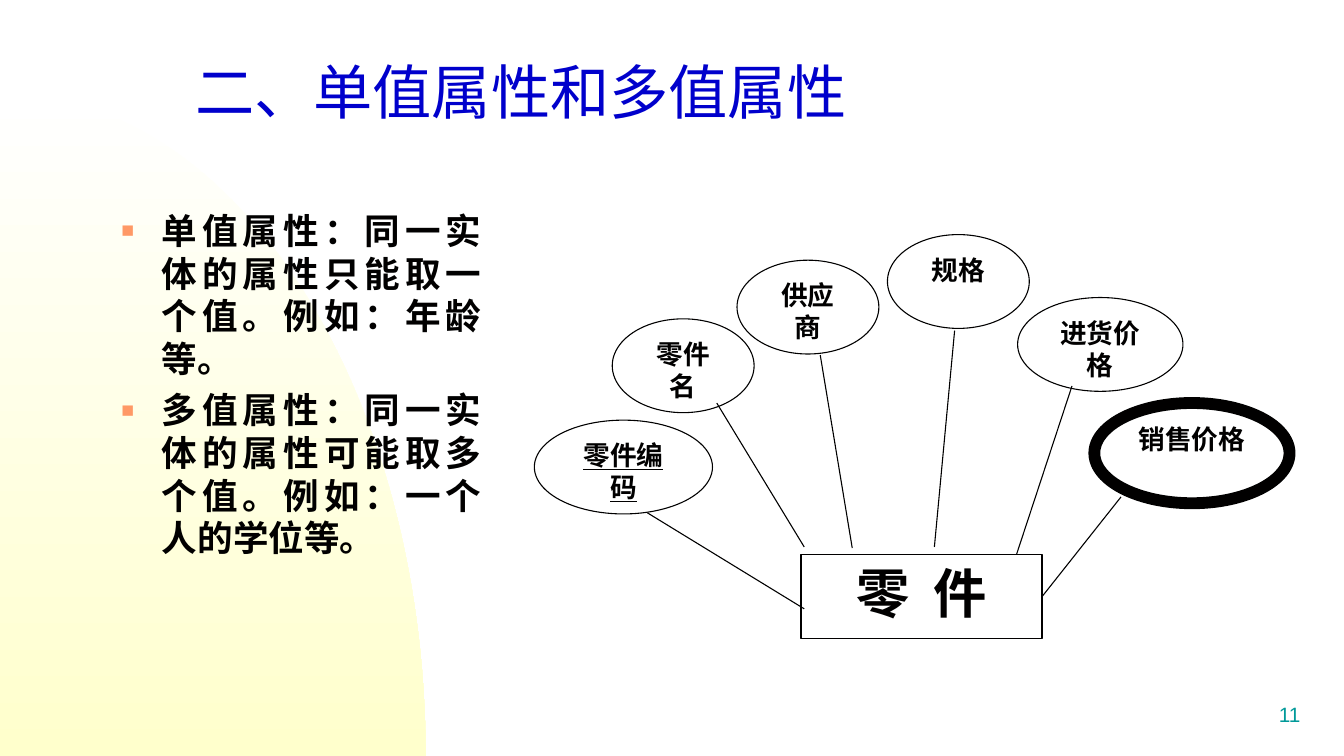
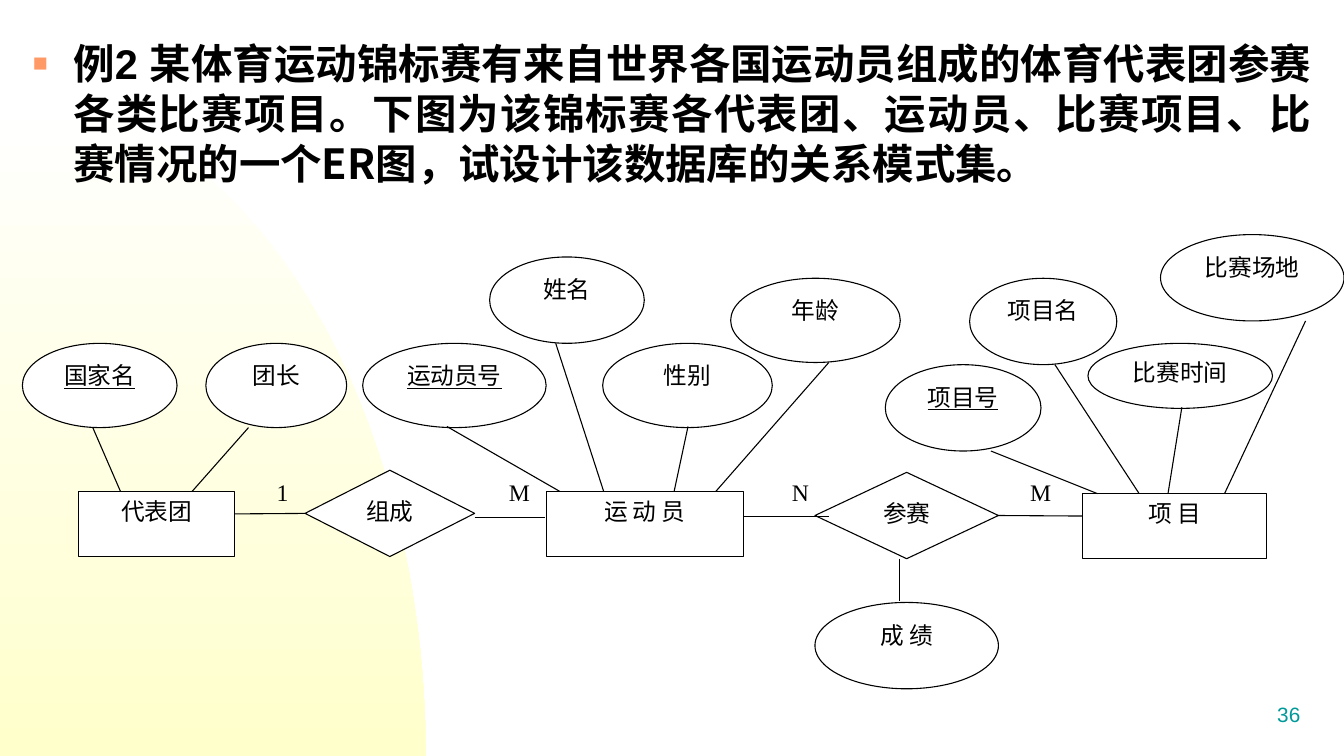
from math import cos, pi, sin

from lxml.etree import SubElement
from pptx import Presentation
from pptx.dml.color import RGBColor
from pptx.enum.shapes import MSO_CONNECTOR, MSO_SHAPE
from pptx.enum.text import MSO_ANCHOR, MSO_AUTO_SIZE, PP_ALIGN
from pptx.oxml.ns import qn
from pptx.util import Inches, Pt

WIDTH, HEIGHT = 12.6, 7.09
INK = RGBColor(0x01, 0x00, 0x00)
WHITE = RGBColor(0xFF, 0xFF, 0xFF)
CREAM = RGBColor(0xFF, 0xFF, 0xCC)
TITLE_BLUE = RGBColor(0x00, 0x00, 0xCC)
TEAL = RGBColor(0x00, 0x99, 0x99)
BULLET_ORANGE = "FF9966"

SERIF, SANS, CJK = "Times New Roman", "Arial", "Noto Sans CJK SC"
LINE_FACTOR = 1.2
TOP, LEFT, BOTTOM, RIGHT = range(4)
OVAL, BOX, DIAMOND = MSO_SHAPE.OVAL, MSO_SHAPE.RECTANGLE, MSO_SHAPE.FLOWCHART_DECISION

TITLE_FORMAT = {"size": Pt(40), "name": "Arial Narrow", "bold": False}
NUMBER_FORMAT = {"size": Pt(14), "name": SANS}
BULLET_FORMAT = {"size": Pt(24), "name": CJK, "bold": True}
EXAMPLE_FORMAT = {"size": Pt(28), "name": CJK, "bold": True}
PART_FORMAT = {"size": Pt(18), "name": SERIF, "bold": True}
ENTITY_FORMAT = {"size": Pt(36), "name": SERIF, "bold": True}
ER_FORMAT = {"size": Pt(16), "name": SERIF}
KEY = {"underline": True}

DEFINITIONS = [
    "单值属性：同一实体的属性只能取一个值。例如：年龄等。",
    "多值属性：同一实体的属性可能取多个值。例如：一个人的学位等。",
]
EXAMPLE = (
    "某体育运动锦标赛有来自世界各国运动员组成的体育代表团参赛各类比赛项目。"
    "下图为该锦标赛各代表团、运动员、比赛项目、比赛情况的一个ER图，"
    "试设计该数据库的关系模式集。"
)

# text, left, top, width, height, extra format
PART_ATTRIBUTES = [
    ("零件编码", 5.01, 3.94, 1.67, 0.88, KEY),
    ("零件名", 5.74, 2.99, 1.33, 0.88, {}),
    ("供应商", 6.91, 2.44, 1.33, 0.88, {}),
    ("规格", 8.32, 2.2, 1.33, 0.88, {}),
    ("进货价格", 9.54, 2.79, 1.55, 0.88, {}),
]
PART_LINKS = [
    (6.72, 3.78, 7.54, 5.13),
    (6.07, 4.81, 7.54, 5.71),
    (7.69, 3.33, 7.99, 5.14),
    (8.95, 3.1, 8.76, 5.13),
    (10.05, 3.62, 9.53, 5.2),
]

# kind, text, left, top, width, height, extra format
ER_NODES = [
    (BOX, "代表团", 0.74, 4.61, 1.46, 0.61, {}),
    (BOX, "运 动 员", 5.12, 4.61, 1.85, 0.61, {}),
    (BOX, "项 目", 10.15, 4.63, 1.72, 0.61, {}),
    (DIAMOND, "组成", 2.86, 4.41, 1.59, 0.81, {}),
    (DIAMOND, "参赛", 7.64, 4.43, 1.72, 0.81, {}),
    (OVAL, "国家名", 0.21, 3.22, 1.45, 0.79, KEY),
    (OVAL, "团长", 1.93, 3.22, 1.32, 0.79, {}),
    (OVAL, "运动员号", 3.4, 3.22, 1.72, 0.79, KEY),
    (OVAL, "姓名", 4.59, 2.41, 1.45, 0.81, {}),
    (OVAL, "性别", 5.65, 3.22, 1.59, 0.79, {}),
    (OVAL, "年龄", 6.85, 2.61, 1.59, 0.79, {}),
    (OVAL, "项目号", 8.3, 3.42, 1.46, 0.81, KEY),
    (OVAL, "比赛时间", 10.2, 3.22, 1.73, 0.61, {}),
    (OVAL, "项目名", 9.09, 2.61, 1.38, 0.81, {}),
    (OVAL, "比赛场地", 10.88, 2.2, 1.72, 0.81, {}),
    (OVAL, "成 绩", 7.64, 5.65, 1.72, 0.81, {}),
]
ER_LINKS = [
    (0.87, 4.01, 1.13, 4.61),
    (1.8, 4.61, 2.33, 4.01),
    (4.19, 4, 5.25, 4.61),
    (5.21, 3.22, 5.66, 4.61),
    (6.45, 4, 6.32, 4.61),
    (6.71, 4.61, 7.77, 3.4),
    (9.29, 4.23, 10.29, 4.63),
    (9.89, 3.42, 10.68, 4.63),
    (11.08, 3.82, 10.95, 4.63),
    (12.24, 3.01, 11.48, 4.63),
    (4.45, 4.85, 5.11, 4.85),
    (6.97, 4.84, 7.77, 4.84),
    (8.43, 5.24, 8.43, 5.64),
]
# text, left, width
CARDINALITIES = [("1", 2.32, 0.66), ("M", 4.54, 0.66), ("N", 7.11, 0.79), ("M", 9.36, 0.79)]


def add_run(paragraph, text, formats, color=INK):
    run = paragraph.add_run()
    run.text = text
    run.font.color.rgb = color
    for name, value in formats.items():
        setattr(run.font, name, value)
    SubElement(run._r.get_or_add_rPr(), qn("a:ea"), typeface=CJK)


def set_frame(frame, anchor=MSO_ANCHOR.TOP):
    """Make the frame wrap at a fixed size and return its first paragraph."""
    values = {
        "word_wrap": True,
        "auto_size": MSO_AUTO_SIZE.NONE,
        "vertical_anchor": anchor,
        "margin_left": Inches(0.1),
        "margin_right": Inches(0.1),
        "margin_top": Inches(0.05),
        "margin_bottom": Inches(0.05),
    }
    for name, value in values.items():
        setattr(frame, name, value)
    return frame.paragraphs[0]


def write_line(frame, text, formats, align=PP_ALIGN.CENTER, color=INK, anchor=MSO_ANCHOR.TOP):
    paragraph = set_frame(frame, anchor)
    paragraph.alignment = align
    paragraph.line_spacing = Pt(formats["size"].pt * LINE_FACTOR)
    add_run(paragraph, text, formats, color)
    return paragraph


def add_text(slide, bounds, text, formats, **options):
    box = slide.shapes.add_textbox(*map(Inches, bounds))
    return write_line(box.text_frame, text, formats, **options)


def set_bullet(paragraph, size, space_before):
    paragraph.alignment = PP_ALIGN.JUSTIFY
    paragraph.space_before = Pt(space_before)
    paragraph.line_spacing = Pt(size.pt * LINE_FACTOR)
    properties = paragraph._p.get_or_add_pPr()
    indent = Inches(0.38)
    properties.set("marL", str(indent))
    properties.set("indent", str(-indent))
    color = SubElement(properties, qn("a:buClr"))
    SubElement(color, qn("a:srgbClr"), val=BULLET_ORANGE)
    SubElement(properties, qn("a:buSzPct"), val="60000")
    SubElement(properties, qn("a:buFont"), typeface=SANS)
    SubElement(properties, qn("a:buChar"), char="■")


def add_bullets(slide, bounds, items, size, space_before):
    """Add one bullet per item; an item is a list of (text, format) runs."""
    frame = slide.shapes.add_textbox(*map(Inches, bounds)).text_frame
    paragraph = set_frame(frame)
    for index, runs in enumerate(items):
        if index:
            paragraph = frame.add_paragraph()
        set_bullet(paragraph, size, space_before)
        for text, formats in runs:
            add_run(paragraph, text, formats)


def add_node(slide, kind, text, bounds, formats, line_width=0.75):
    shape = slide.shapes.add_shape(kind, *map(Inches, bounds))
    shape.shadow.inherit = False
    shape.fill.solid()
    shape.fill.fore_color.rgb = WHITE
    shape.line.color.rgb = INK
    shape.line.width = Pt(line_width)
    write_line(shape.text_frame, text, formats)
    return shape


def add_link(slide, points, begin=None, end=None):
    """Draw a line; begin and end are optional (shape, side) joints."""
    link = slide.shapes.add_connector(MSO_CONNECTOR.STRAIGHT, *map(Inches, points))
    link.line.color.rgb = INK
    link.line.width = Pt(0.75)
    SubElement(link._element.spPr, qn("a:effectLst"))
    if begin:
        link.begin_connect(*begin)
    if end:
        link.end_connect(*end)


def add_corner(slide):
    """Draw the quarter ellipse that fades in at the lower left."""
    radius_x, radius_y, steps = 3.99, 6.22, 60
    angles = [pi / 2 * step / steps for step in range(steps + 1)]
    points = [
        (Inches(radius_x * sin(angle)), Inches(HEIGHT - radius_y * cos(angle)))
        for angle in angles
    ]
    builder = slide.shapes.build_freeform(*points[0])
    builder.add_line_segments(points[1:] + [(0, Inches(HEIGHT))], close=True)
    corner = builder.convert_to_shape()
    corner.shadow.inherit = False
    corner.line.fill.background()
    corner.fill.gradient()
    corner.fill.gradient_angle = 270
    for stop, color in zip(corner.fill.gradient_stops, (WHITE, CREAM)):
        stop.color.rgb = color


def add_slide(presentation, number, title=None):
    layout = presentation.slide_layouts[5 if title else 6]
    slide = presentation.slides.add_slide(layout)
    add_corner(slide)
    add_text(slide, (9.66, 6.46, 2.63, 0.47), number, NUMBER_FORMAT,
             align=PP_ALIGN.RIGHT, color=TEAL, anchor=MSO_ANCHOR.MIDDLE)
    if title:
        shape = slide.shapes.title
        bounds = zip(("left", "top", "width", "height"), (1.73, 0.49, 8.4, 0.89))
        for name, value in bounds:
            setattr(shape, name, Inches(value))
        paragraph = write_line(shape.text_frame, title, TITLE_FORMAT, align=PP_ALIGN.LEFT,
                               color=TITLE_BLUE, anchor=MSO_ANCHOR.MIDDLE)
        paragraph.line_spacing = 0.7
        # Keep the title in front of the corner shape.
        slide.shapes._spTree.append(shape._element)
    return slide


def build_attribute_slide(presentation):
    slide = add_slide(presentation, "11", "二、单值属性和多值属性")
    items = [[(text, BULLET_FORMAT)] for text in DEFINITIONS]
    add_bullets(slide, (1.04, 1.91, 3.57, 4.25), items, BULLET_FORMAT["size"], 6)
    part = add_node(slide, BOX, "零  件", (7.51, 5.2, 2.26, 0.79), ENTITY_FORMAT)
    for text, *bounds, extra in PART_ATTRIBUTES:
        add_node(slide, OVAL, text, bounds, PART_FORMAT | extra)
    add_node(slide, OVAL, "销售价格", (10.26, 3.78, 1.83, 0.94), PART_FORMAT, line_width=8)
    for points in PART_LINKS:
        add_link(slide, points)
    add_link(slide, (10.51, 4.66, 9.77, 5.6), end=(part, RIGHT))


def build_example_slide(presentation):
    slide = add_slide(presentation, "36")
    runs = [("例2 ", EXAMPLE_FORMAT | {"name": SANS}), (EXAMPLE, EXAMPLE_FORMAT)]
    add_bullets(slide, (0.21, 0.31, 12.18, 6.14), [runs], EXAMPLE_FORMAT["size"], 7)
    nodes = {
        text: add_node(slide, kind, text, bounds, ER_FORMAT | extra)
        for kind, text, *bounds, extra in ER_NODES
    }
    for points in ER_LINKS:
        add_link(slide, points)
    add_link(slide, (2.2, 4.82, 2.86, 4.82), end=(nodes["组成"], LEFT))
    add_link(slide, (9.36, 4.84, 10.15, 4.84), begin=(nodes["参赛"], RIGHT))
    for text, left, width in CARDINALITIES:
        add_text(slide, (left, 4.43, width, 0.61), text, ER_FORMAT)


def main():
    presentation = Presentation()
    presentation.slide_width = Inches(WIDTH)
    presentation.slide_height = Inches(HEIGHT)
    build_attribute_slide(presentation)
    build_example_slide(presentation)
    presentation.save("out.pptx")


if __name__ == "__main__":
    main()
